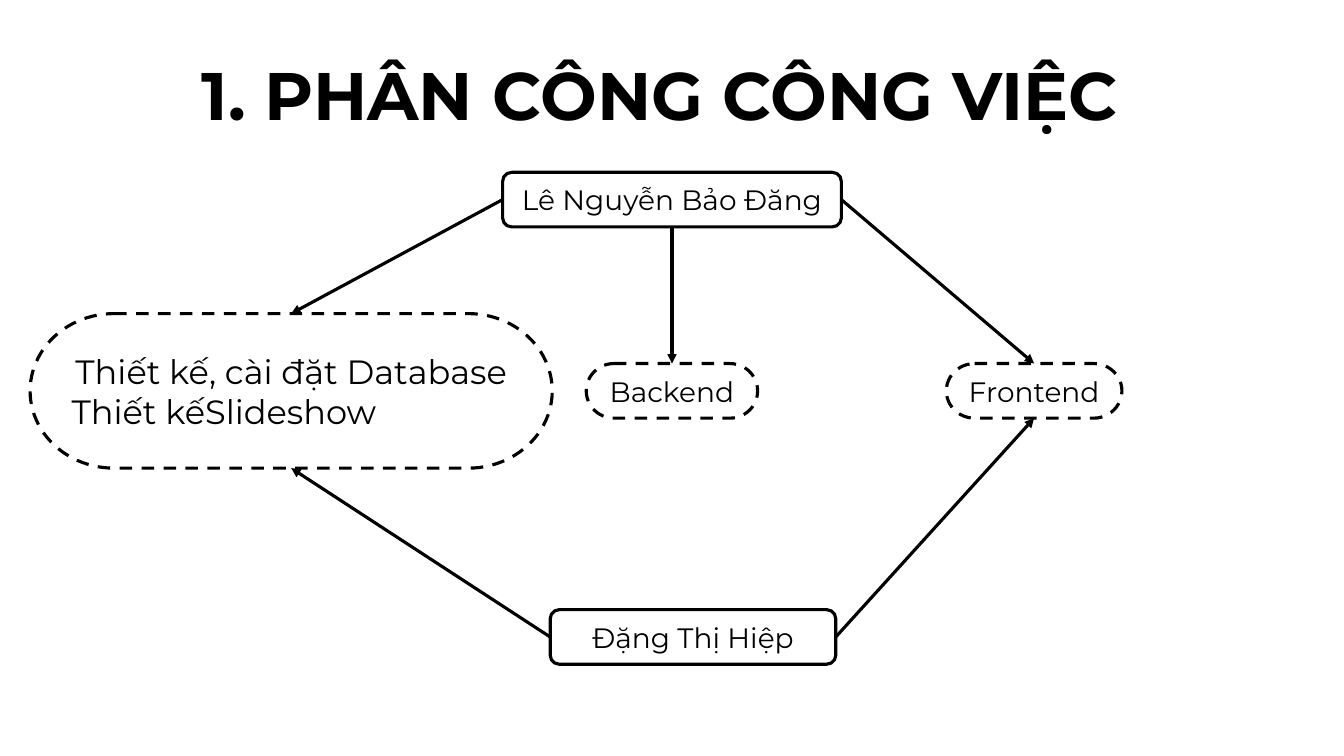
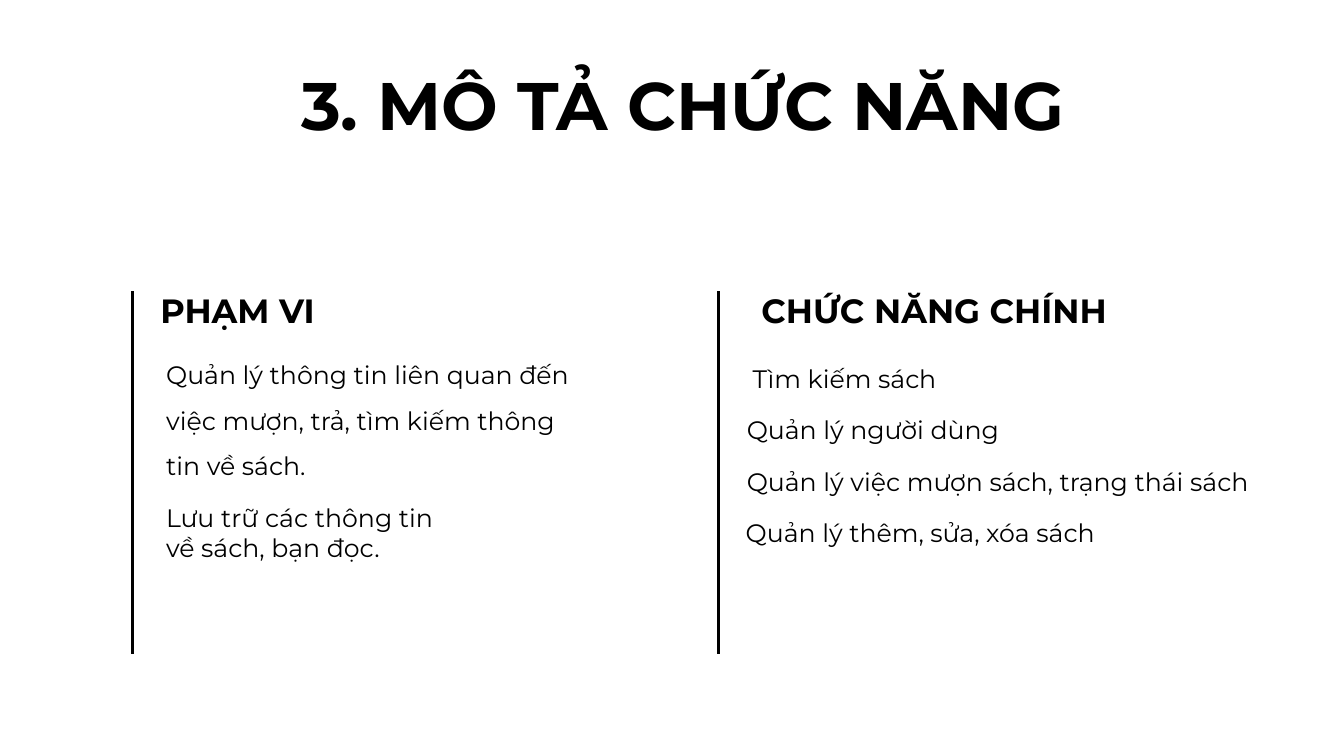
from lxml import etree
from pptx import Presentation
from pptx.dml.color import RGBColor
from pptx.enum import dml, shapes, text
from pptx.oxml import ns
from pptx.util import Pt

COLORS = {"ink": "000000"}
FONT = "Montserrat"
LINE_WIDTH = 2.25
TOP, LEFT, BOTTOM, RIGHT = range(4)

# Titles: wording, (left, top, width, height)
ASSIGNMENT_TITLE = ("1. PHÂN CÔNG CÔNG VIỆC", (137, 20, 693, 101))
FEATURES_TITLE = ("3. MÔ TẢ CHỨC NĂNG", (208, 27.5, 567, 101))

# name: (lines, centre x, centre y, width, height, font size)
PEOPLE = {
    "dang": (["Lê Nguyễn Bảo Đăng"], 480, 142.6, 242, 39, 20),
    "hiep": (["Đặng Thị Hiệp"], 495, 455, 204, 39, 20),
}
TASKS = {
    "database": (["Thiết kế, cài đặt Database", "Thiết kếSlideshow"],
                 208, 279.2, 373, 110.4, 24),
    "backend": (["Backend"], 480, 279.2, 122.4, 39, 20),
    "frontend": (["Frontend"], 738.7, 279.2, 125.4, 39, 20),
}
# person, side left, task, side reached
ASSIGNMENTS = [
    ("dang", LEFT, "database", TOP),
    ("hiep", LEFT, "database", BOTTOM),
    ("dang", BOTTOM, "backend", TOP),
    ("dang", RIGHT, "frontend", TOP),
    ("hiep", RIGHT, "frontend", BOTTOM),
]

# Rule x, heading, heading width, heading alignment, items
# Item: wording, (left, top, width, height), line spacing
FEATURE_COLUMNS = [
    (94.4, "PHẠM VI", 248, text.PP_ALIGN.LEFT, [
        ("Quản lý thông tin liên quan đến việc mượn, trả, tìm kiếm thông tin về sách.",
         (111.6, 242.6, 317.5, 101.5), 1.5),
        ("Lưu trữ các thông tin về sách, bạn đọc.",
         (111.6, 355, 216, 51), 1),
    ]),
    (513.4, "CHỨC NĂNG CHÍNH", 281.5, text.PP_ALIGN.CENTER, [
        ("Tìm kiếm sách", (530.6, 255.6, 194, 29), 1),
        ("Quản lý người dùng", (526.4, 292.4, 280, 29), 1),
        ("Quản lý việc mượn sách, trạng thái sách", (526.4, 329.5, 385, 29), 1),
        ("Quản lý thêm, sửa, xóa sách", (525.6, 365.8, 316, 29), 1),
    ]),
]
RULE_TOP, RULE_BOTTOM = 208, 467.3
HEADING_TOP, HEADING_GAP = 203.8, 13


def color(name):
    return RGBColor.from_string(COLORS[name])


def style_paragraph(paragraph, size, bold=False, align=text.PP_ALIGN.LEFT):
    paragraph.alignment = align
    font = paragraph.font
    font.name, font.size, font.bold = FONT, Pt(size), bold
    font.color.rgb = color("ink")


def add_text(slide, wording, box, size, bold=False, align=text.PP_ALIGN.LEFT,
             spacing=1.0, anchor=text.MSO_ANCHOR.TOP):
    frame = slide.shapes.add_textbox(*map(Pt, box)).text_frame
    frame.word_wrap = True
    frame.vertical_anchor = anchor
    paragraph = frame.paragraphs[0]
    paragraph.text = wording
    paragraph.line_spacing = spacing
    style_paragraph(paragraph, size, bold, align)


def add_titled_slide(presentation, title):
    slide = presentation.slides.add_slide(presentation.slide_layouts[6])
    wording, box = title
    add_text(slide, wording, box, 48, bold=True, spacing=0.9,
             anchor=text.MSO_ANCHOR.MIDDLE)
    return slide


def style_line(line):
    line.color.rgb = color("ink")
    line.width = Pt(LINE_WIDTH)


def add_node(slide, node, preset, dashed):
    lines, center_x, center_y, width, height, size = node
    shape = slide.shapes.add_shape(
        preset, Pt(center_x - width / 2), Pt(center_y - height / 2),
        Pt(width), Pt(height))
    shape.shadow.inherit = False
    shape.fill.background()
    style_line(shape.line)
    if dashed:
        shape.line.dash_style = dml.MSO_LINE.DASH
    frame = shape.text_frame
    frame.word_wrap = True
    frame.vertical_anchor = text.MSO_ANCHOR.MIDDLE
    frame.text = "\n".join(lines)
    for paragraph in frame.paragraphs:
        style_paragraph(paragraph, size)
    frame.paragraphs[0].alignment = text.PP_ALIGN.CENTER
    for paragraph in frame.paragraphs[1:]:
        paragraph._p.get_or_add_pPr().set("indent", str(Pt(5)))
    return shape


def add_line(slide, start=(0, 0), end=(0, 0)):
    connector = slide.shapes.add_connector(
        shapes.MSO_CONNECTOR.STRAIGHT, *map(Pt, start + end))
    style_line(connector.line)
    etree.SubElement(connector._element.spPr, ns.qn("a:effectLst"))
    return connector


def add_arrow(slide, source, source_side, target, target_side):
    connector = add_line(slide)
    connector.begin_connect(source, source_side)
    connector.end_connect(target, target_side)
    outline = connector.line._get_or_add_ln()
    etree.SubElement(outline, ns.qn("a:tailEnd"), type="triangle")


def build_assignment_slide(presentation):
    slide = add_titled_slide(presentation, ASSIGNMENT_TITLE)
    nodes = {}
    for group, preset, dashed in (
            (PEOPLE, shapes.MSO_SHAPE.ROUNDED_RECTANGLE, False),
            (TASKS, shapes.MSO_SHAPE.FLOWCHART_TERMINATOR, True)):
        for name, node in group.items():
            nodes[name] = add_node(slide, node, preset, dashed)
    for person, person_side, task, task_side in ASSIGNMENTS:
        add_arrow(slide, nodes[person], person_side, nodes[task], task_side)


def build_features_slide(presentation):
    slide = add_titled_slide(presentation, FEATURES_TITLE)
    for rule_x, heading, width, align, items in FEATURE_COLUMNS:
        add_line(slide, (rule_x, RULE_TOP), (rule_x, RULE_BOTTOM))
        add_text(slide, heading, (rule_x + HEADING_GAP, HEADING_TOP, width, 36),
                 24, bold=True, align=align)
        for wording, box, spacing in items:
            add_text(slide, wording, box, 18, spacing=spacing)


def main():
    presentation = Presentation()
    presentation.slide_width, presentation.slide_height = Pt(960), Pt(540)
    build_assignment_slide(presentation)
    build_features_slide(presentation)
    presentation.save("out.pptx")


if __name__ == "__main__":
    main()
